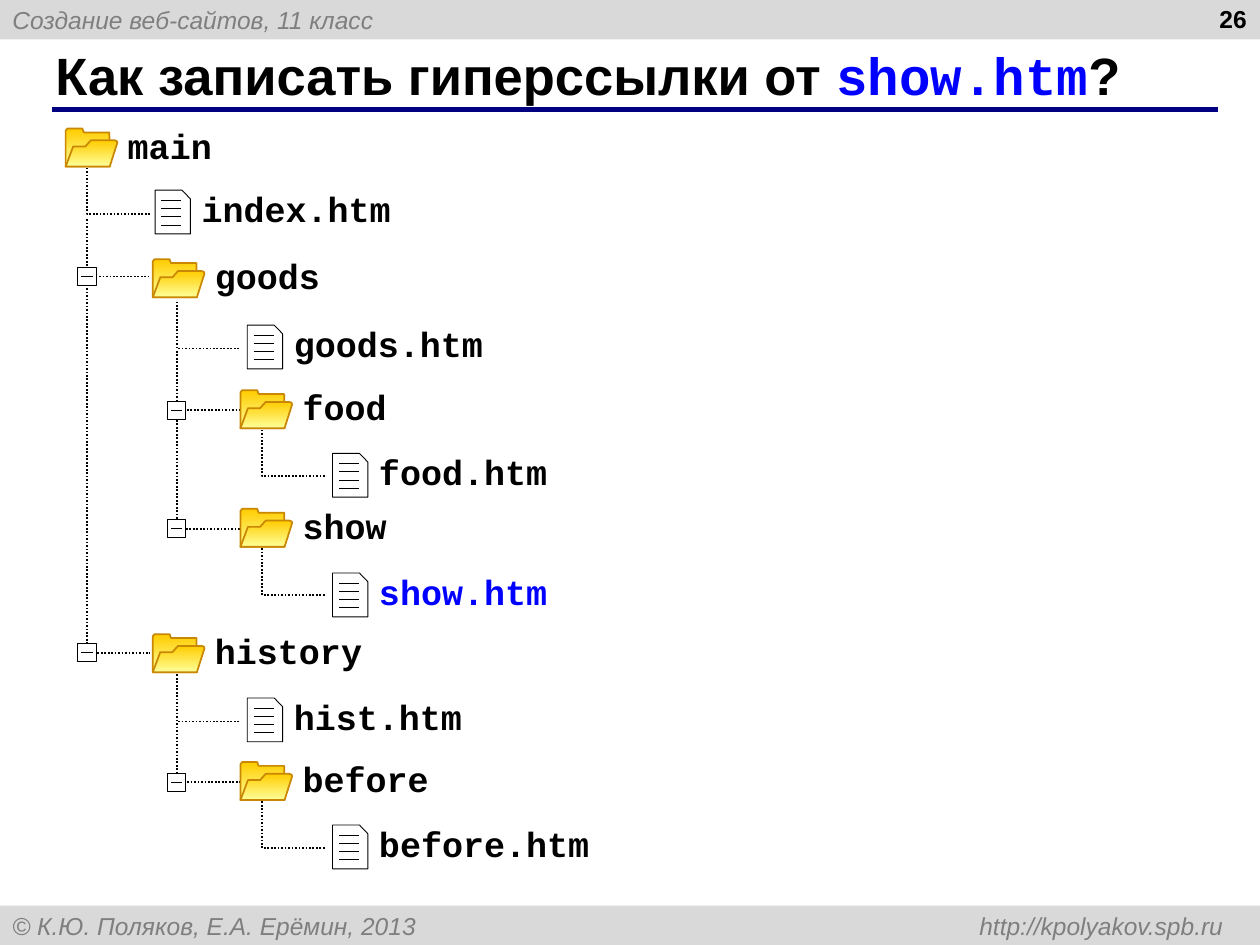
from lxml.etree import SubElement
from pptx import Presentation
from pptx.dml.color import RGBColor
from pptx.enum.dml import MSO_LINE
from pptx.enum.shapes import MSO_CONNECTOR, MSO_SHAPE
from pptx.enum.text import MSO_ANCHOR, MSO_AUTO_SIZE, PP_ALIGN
from pptx.oxml.ns import qn
from pptx.util import Pt

BLACK, WHITE, BLUE, GRAY = "000000", "FFFFFF", "0000FF", "7F7F7F"
SANS, MONO = "Arial", "Courier New"

# Horizontal positions by depth in the tree
FOLDER_LEFT = [37.5, 87.3, 137.4]
FILE_LEFT = [None, 88.6, 141.3, 190]
BRANCH_LEFT = [None, 49.7, 101, 149.8]
BRANCH_WIDTH = 36

FOLDER_BACK = [(0, 21.7), (0, 1.2), (1, 0), (9.6, 0), (10.4, 2.2), (25, 2.2), (25.2, 21.7)]
FOLDER_FRONT = [(0, 21.7), (4.3, 10.3), (11.2, 10.3), (14.4, 6.7), (28, 6.7),
                (29.3, 7.2), (29.5, 8.2), (25.2, 21.7)]
FILE_SHEET = [(0, 25), (0, 0), (15.4, 0), (20.2, 5), (20.2, 25)]

# (kind, depth, name, icon top, branch top, branch bottom, colour)
ENTRIES = [
    ("folder", 0, "main", 73.5, None, None, BLACK),
    ("file", 1, "index.htm", 108.7, 95.8, 122.2, BLACK),
    ("folder", 1, "goods", 148.2, 125.3, 158, BLACK),
    ("file", 2, "goods.htm", 185.8, 172.3, 199.2, BLACK),
    ("folder", 2, "food", 223, 200.6, 234.4, BLACK),
    ("file", 3, "food.htm", 259.1, 245.5, 272.2, BLACK),
    ("folder", 2, "show", 290.8, 240, 302.2, BLACK),
    ("file", 3, "show.htm", 327.5, 313.2, 340, BLUE),
    ("folder", 1, "history", 362.4, 162.7, 373, BLACK),
    ("file", 2, "hist.htm", 398.9, 385.4, 412.3, BLACK),
    ("folder", 2, "before", 435.5, 413.3, 447, BLACK),
    ("file", 3, "before.htm", 471.5, 457.9, 484.7, BLACK),
]


def color(hex_string):
    return RGBColor.from_string(hex_string)


def add_run(paragraph, text, font_name, size, font_color, bold=False, italic=False):
    run = paragraph.add_run()
    run.text = text
    font = run.font
    font.name, font.size = font_name, Pt(size)
    font.bold, font.italic = bold, italic
    font.color.rgb = color(font_color)


def set_line(shape, line_color, width):
    shape.line.color.rgb = color(line_color)
    shape.line.width = Pt(width)


def add_rectangle(shapes, left, top, width, height, fill_color):
    shape = shapes.add_shape(MSO_SHAPE.RECTANGLE, Pt(left), Pt(top), Pt(width), Pt(height))
    shape.shadow.inherit = False
    shape.fill.solid()
    shape.fill.fore_color.rgb = color(fill_color)
    return shape


def add_line(shapes, left, top, right, bottom, line_color, width):
    connector = shapes.add_connector(
        MSO_CONNECTOR.STRAIGHT, Pt(left), Pt(top), Pt(right), Pt(bottom))
    set_line(connector, line_color, width)
    SubElement(connector._element.spPr, qn("a:effectLst"))


def add_outline(shapes, left, top, points, line_color, width, close=True):
    """Draw an unfilled outline whose points are relative to left and top."""
    vertices = [(Pt(left + x), Pt(top + y)) for x, y in points]
    builder = shapes.build_freeform(*vertices[0])
    builder.add_line_segments(vertices[1:], close=close)
    shape = builder.convert_to_shape()
    shape.shadow.inherit = False
    shape.fill.background()
    set_line(shape, line_color, width)
    return shape


def add_folder_icon(shapes, left, top):
    for points in (FOLDER_BACK, FOLDER_FRONT):
        shape = add_outline(shapes, left, top, points, "C98703", 1)
        shape.fill.gradient()
        shape.fill.gradient_angle = 270
        for stop, stop_color in zip(shape.fill.gradient_stops, ("FFCC00", "FFFF99")):
            stop.color.rgb = color(stop_color)


def add_file_icon(shapes, left, top):
    add_outline(shapes, left, top, FILE_SHEET, BLACK, 0.5)
    for row in range(4):
        y = top + 5.8 + 4.7 * row
        add_line(shapes, left + 3.6, y, left + 15.1, y, BLACK, 0.5)


def add_label(shapes, left, top, width, text, font_color):
    frame = shapes.add_textbox(Pt(left), Pt(top), Pt(width), Pt(26.6)).text_frame
    frame.word_wrap = True
    frame.margin_left = frame.margin_right = frame.margin_top = frame.margin_bottom = 0
    paragraph = frame.paragraphs[0]
    paragraph.space_after = Pt(10)
    add_run(paragraph, text, MONO, 20, font_color, bold=True)


def add_branch(shapes, left, top, bottom):
    points = [(0, 0), (0, bottom - top), (BRANCH_WIDTH, bottom - top)]
    branch = add_outline(shapes, left, top, points, BLACK, 1, close=False)
    branch.line.dash_style = MSO_LINE.ROUND_DOT


def add_toggle(shapes, center_x, center_y):
    """Draw the small box with a minus sign of an expanded folder."""
    box = add_rectangle(shapes, center_x - 5.2, center_y - 5.2, 10.4, 10.4, WHITE)
    set_line(box, BLACK, 0.5)
    add_line(shapes, center_x - 3.2, center_y, center_x + 3.2, center_y, BLACK, 0.75)


def add_entry(slide, kind, depth, name, top, branch_top, branch_bottom, font_color):
    shapes = slide.shapes.add_group_shape().shapes
    if depth:
        add_branch(shapes, BRANCH_LEFT[depth], branch_top, branch_bottom)
    if kind == "file":
        left = FILE_LEFT[depth]
        add_file_icon(shapes, left, top)
        add_label(shapes, left + 26.6, top - 1.5, 147, name, font_color)
        return
    if depth:
        add_toggle(shapes, BRANCH_LEFT[depth], branch_bottom)
    left = FOLDER_LEFT[depth]
    add_folder_icon(shapes, left, top)
    add_label(shapes, left + 35.5, top - 2.6, 96, name, font_color)


def add_band(slide, top, text):
    band = add_rectangle(slide.shapes, 0, top, 720, 22.5, "D9D9D9")
    band.line.fill.background()
    band.text_frame.vertical_anchor = MSO_ANCHOR.MIDDLE
    paragraph = band.text_frame.paragraphs[0]
    paragraph.alignment = PP_ALIGN.LEFT
    add_run(paragraph, text, SANS, 14, GRAY, italic=True)
    return paragraph


def add_right_tab(paragraph, position):
    tabs = SubElement(paragraph._p.get_or_add_pPr(), qn("a:tabLst"))
    SubElement(tabs, qn("a:tab"), pos=str(Pt(position)), algn="r")


def set_title(slide):
    title = slide.shapes.title
    title.left, title.top, title.width, title.height = Pt(24.5), Pt(24), Pt(659.5), Pt(37.5)
    frame = title.text_frame
    frame.auto_size = MSO_AUTO_SIZE.NONE
    frame.vertical_anchor = MSO_ANCHOR.MIDDLE
    paragraph = frame.paragraphs[0]
    paragraph.alignment = PP_ALIGN.LEFT
    add_run(paragraph, "Как записать гиперссылки от ", SANS, 30, BLACK, bold=True)
    add_run(paragraph, "show.htm", MONO, 30, BLUE, bold=True)
    add_run(paragraph, "?", SANS, 30, BLACK, bold=True)


def add_page_number(slide, number):
    frame = slide.shapes.add_textbox(Pt(551.5), Pt(-1.5), Pt(168), Pt(37.5)).text_frame
    frame.word_wrap = True
    paragraph = frame.paragraphs[0]
    paragraph.alignment = PP_ALIGN.RIGHT
    add_run(paragraph, number, SANS, 14, BLACK, bold=True)


def main():
    presentation = Presentation()
    presentation.slide_width, presentation.slide_height = Pt(720), Pt(540)
    slide = presentation.slides.add_slide(presentation.slide_layouts[5])
    add_band(slide, 0, "Создание веб-сайтов, 11 класс")
    footer = add_band(slide, 517.5, "© К.Ю. Поляков, Е.А. Ерёмин, 2013 \thttp://kpolyakov.spb.ru")
    add_right_tab(footer, 692)
    add_line(slide.shapes, 29.5, 62.5, 696, 62.5, "000080", 3)
    set_title(slide)
    add_page_number(slide, "26")
    for entry in ENTRIES:
        add_entry(slide, *entry)
    presentation.save("out.pptx")


if __name__ == "__main__":
    main()
